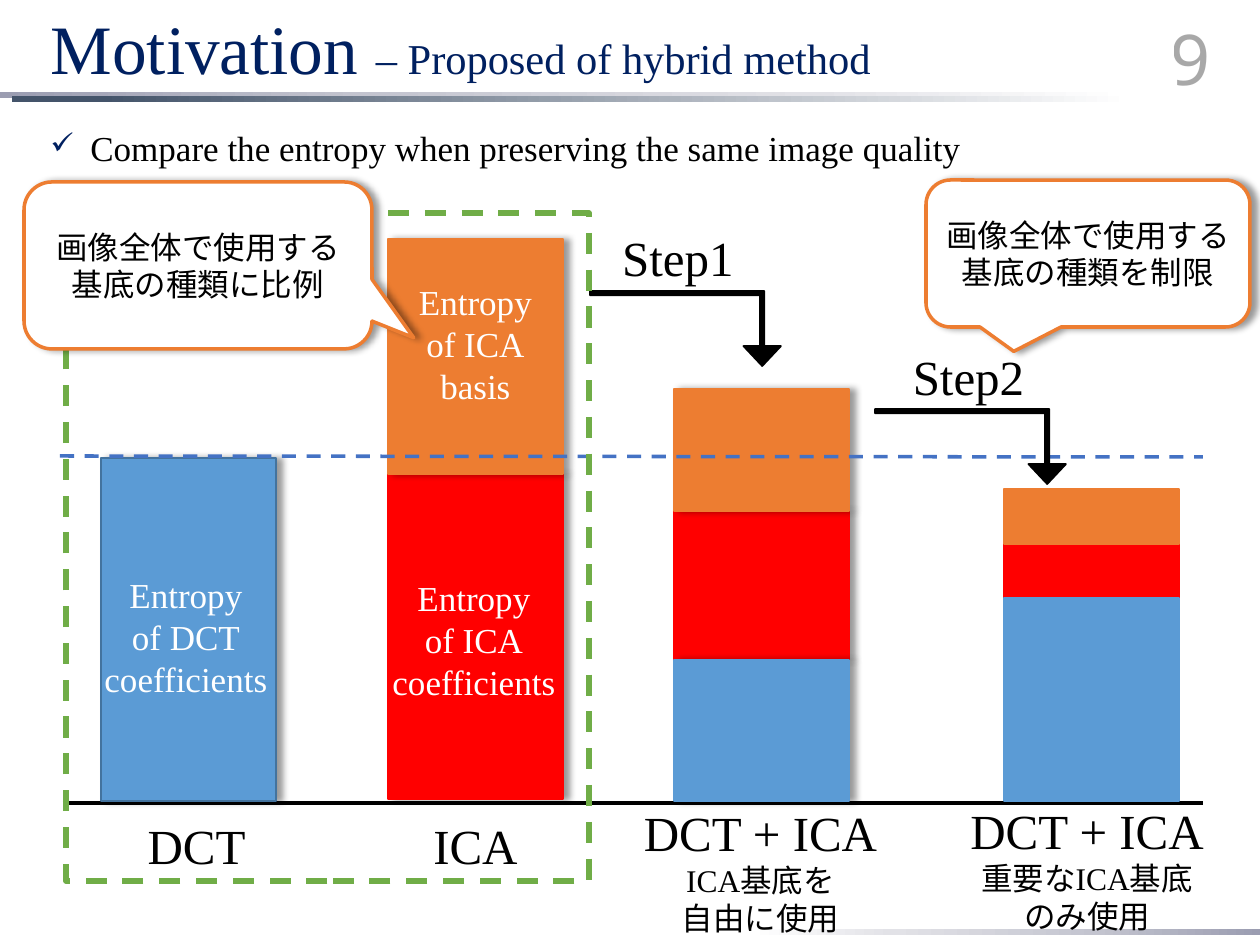
import pptx
import pptx.util
import pptx.dml.color
import pptx.enum.dml
import pptx.enum.shapes
import pptx.enum.text
import pptx.oxml
import pptx.oxml.ns
from lxml import etree

PX = 914400 // 126  # EMU per pixel
Pt = pptx.util.Pt
rgb = pptx.dml.color.RGBColor.from_string
qn = pptx.oxml.ns.qn
SHAPE = pptx.enum.shapes.MSO_SHAPE
DASH = pptx.enum.dml.MSO_LINE.DASH
ALIGN = pptx.enum.text.PP_ALIGN
MIDDLE = pptx.enum.text.MSO_ANCHOR.MIDDLE
SERIF = "Times New Roman"
BLUE, RED, ORANGE = "5B9BD5", "FF0000", "ED7D31"
BLACK, WHITE, NAVY = "000000", "FFFFFF", "002060"

prs = pptx.Presentation()
prs.slide_width, prs.slide_height = 1260 * PX, 945 * PX
s = prs.slides.add_slide(prs.slide_layouts[5])


def box(kind, at, fill=None, line=None, width=1, shadow=False):
    sp = s.shapes.add_shape(kind, *[v * PX for v in at])
    sp.shadow.inherit = False
    if fill:
        sp.fill.solid()
        sp.fill.fore_color.rgb = rgb(fill)
    else:
        sp.fill.background()
    if line:
        sp.line.color.rgb = rgb(line)
        sp.line.width = Pt(width)
    else:
        sp.line.fill.background()
    if shadow:
        effects = sp._element.spPr.find(qn("a:effectLst"))
        outer = etree.SubElement(effects, qn("a:outerShdw"), blurRad=str(Pt(4)),
                                 dist=str(Pt(3)), dir="0", algn="l", rotWithShape="0")
        clr = etree.SubElement(outer, qn("a:srgbClr"), val=BLACK)
        etree.SubElement(clr, qn("a:alpha"), val="40000")
    return sp


def write(sp, lines, color=BLACK, wrap=True, align=ALIGN.CENTER, font=SERIF):
    tf = sp.text_frame
    tf.word_wrap = wrap
    for i, (words, size) in enumerate(lines):
        p = tf.paragraphs[0] if i == 0 else tf.add_paragraph()
        p.text = words
        p.alignment = align
        r = p.runs[0]
        r.font.size, r.font.name = Pt(size), font
        r.font.color.rgb = rgb(color)
    return tf


# Gradient bars at the top and bottom
pale = [(0, "9B9DB1"), (32, "C3C4CF"), (72, "E2E2E7"), (100, WHITE)]
dark = [(8, "44546A"), (100, WHITE)]
for at, stops, turn in [((750, 929, 510, 6), pale, 180),
                        ((0, 92, 1129, 6), pale, 0),
                        ((12, 96, 1118, 6), dark, 0)]:
    sp = box(SHAPE.RECTANGLE, at)
    sp.rotation = turn
    sp.fill.gradient()
    sp.fill.gradient_angle = 0
    stop_list = sp._element.spPr.find(qn("a:gradFill")).find(qn("a:gsLst"))
    for old in list(stop_list):
        stop_list.remove(old)
    for pos, color in stops:
        gs = etree.SubElement(stop_list, qn("a:gs"), pos=str(pos * 1000))
        etree.SubElement(gs, qn("a:srgbClr"), val=color)

# Title
title = s.shapes.title
title.left, title.top, title.width, title.height = 38 * PX, 13 * PX, 971 * PX, 79 * PX
tf = title.text_frame
tf.vertical_anchor = MIDDLE
p = tf.paragraphs[0]
p.alignment = ALIGN.LEFT
p.line_spacing = 0.9
for words, size in [("Motivation ", 39.6), ("– Proposed of hybrid method", 24.3)]:
    r = p.add_run()
    r.text = words
    r.font.size, r.font.name = Pt(size), SERIF
    r.font.color.rgb = rgb(NAVY)

# Page number
sp = s.shapes.add_textbox(1105 * PX, 13 * PX, 118 * PX, 89 * PX)
tf = write(sp, [("9", 40)], "8C8C8C", align=ALIGN.RIGHT, font="Noto Sans")
tf.vertical_anchor = MIDDLE
for clr in sp._element.iter(qn("a:srgbClr")):
    etree.SubElement(clr, qn("a:alpha"), val="75000")

# Bullet line
sp = s.shapes.add_textbox(38 * PX, 125 * PX, 1198 * PX, 72 * PX)
tf = write(sp, [("Compare the entropy when preserving the same image quality", 20)],
           align=ALIGN.LEFT)
p = tf.paragraphs[0]
p.line_spacing = 0.9
pPr = p._p.get_or_add_pPr()
pPr.set("marL", str(40 * PX))
pPr.set("indent", str(-40 * PX))
bu_clr = etree.SubElement(pPr, qn("a:buClr"))
etree.SubElement(bu_clr, qn("a:srgbClr"), val=NAVY)
etree.SubElement(pPr, qn("a:buSzPct"), val="85000")
etree.SubElement(pPr, qn("a:buChar"), char="✓")

# Stacked bars: left edge, shadow, (top, bottom, colour) of each part
BAR_W = 175
bars = [
    (101, True, [(458, 801, BLUE)]),
    (388, True, [(474, 799, RED), (239, 474, ORANGE)]),
    (674, True, [(511, 660, RED), (389, 511, ORANGE), (660, 801, BLUE)]),
    (1004, False, [(544, 598, RED), (489, 544, ORANGE), (598, 801, BLUE)]),
]
lines = [(63, 803, 1203, 803, BLACK, None), (60, 456, 1203, 457, "4472C4", DASH)]
for x1, y1, x2, y2, color, dash in lines:
    ln = s.shapes.add_connector(pptx.enum.shapes.MSO_CONNECTOR.STRAIGHT,
                                x1 * PX, y1 * PX, x2 * PX, y2 * PX)
    ln.line.color.rgb = rgb(color)
    ln.line.width = Pt(2)
    if dash:
        ln.line.dash_style = dash
    etree.SubElement(ln._element.spPr, qn("a:effectLst"))
    # The bars stand on the axis and lie behind the dashed level
    if not dash:
        for left, shadow, parts in bars:
            for top, bottom, fill in parts:
                edge = "43739E" if len(parts) == 1 else fill
                box(SHAPE.RECTANGLE, (left, top, BAR_W, bottom - top), fill, edge, 1, shadow)

# Step arrows
for x, y in [(590, 291), (875, 409)]:
    sp = box(SHAPE.BENT_UP_ARROW, (x, y, 191, 75), BLACK, BLACK)
    for i, value in enumerate([0.055, 0.25, 0.266]):
        sp.adjustments[i] = value
    sp.rotation = 180
    sp._element.spPr.find(qn("a:xfrm")).set("flipH", "1")

# Step names and bar names
labels = [
    ((590, 221, 176, 72), [("Step1", 28)]),
    ((864, 340, 209, 72), [("Step2", 28)]),
    ((131, 809, 131, 72), [("DCT", 28)]),
    ((418, 809, 115, 72), [("ICA", 28)]),
    ((576, 796, 369, 149), [("DCT + ICA", 28), ("ICA基底を", 18), ("自由に使用", 18)]),
    ((919, 794, 336, 149), [("DCT + ICA", 28), ("重要なICA基底", 18), ("のみ使用", 18)]),
]
for at, words in labels:
    write(s.shapes.add_textbox(*[v * PX for v in at]), words)

# Frame around the two single methods
frame = box(SHAPE.RECTANGLE, (66, 213, 523, 668), line="70AD47", width=3)
frame.line.dash_style = DASH

# Callouts
callouts = [
    ((24, 182, 348, 167), (0.62, 0.433, 0.167), ["画像全体で使用する基底の種類に比例"]),
    ((926, 180, 324, 147), (-0.229, 0.666, 0.167), ["画像全体で使用する", "基底の種類を制限"]),
]
for at, adjust, words in callouts:
    sp = box(SHAPE.ROUNDED_RECTANGULAR_CALLOUT, at, WHITE, ORANGE, 2, True)
    for i, value in enumerate(adjust):
        sp.adjustments[i] = value
    write(sp, [(w, 18) for w in words]).vertical_anchor = MIDDLE

# Texts on the bars
for x, y, w, method, part in [(91, 567, 190, "DCT", "coefficients"),
                              (379, 570, 190, "ICA", "coefficients"),
                              (406, 274, 139, "ICA", "basis")]:
    sp = s.shapes.add_textbox(x * PX, y * PX, w * PX, 140 * PX)
    write(sp, [("Entropy", 20), (f"of {method}", 20), (part, 20)], WHITE, wrap=False)

prs.save("out.pptx")
